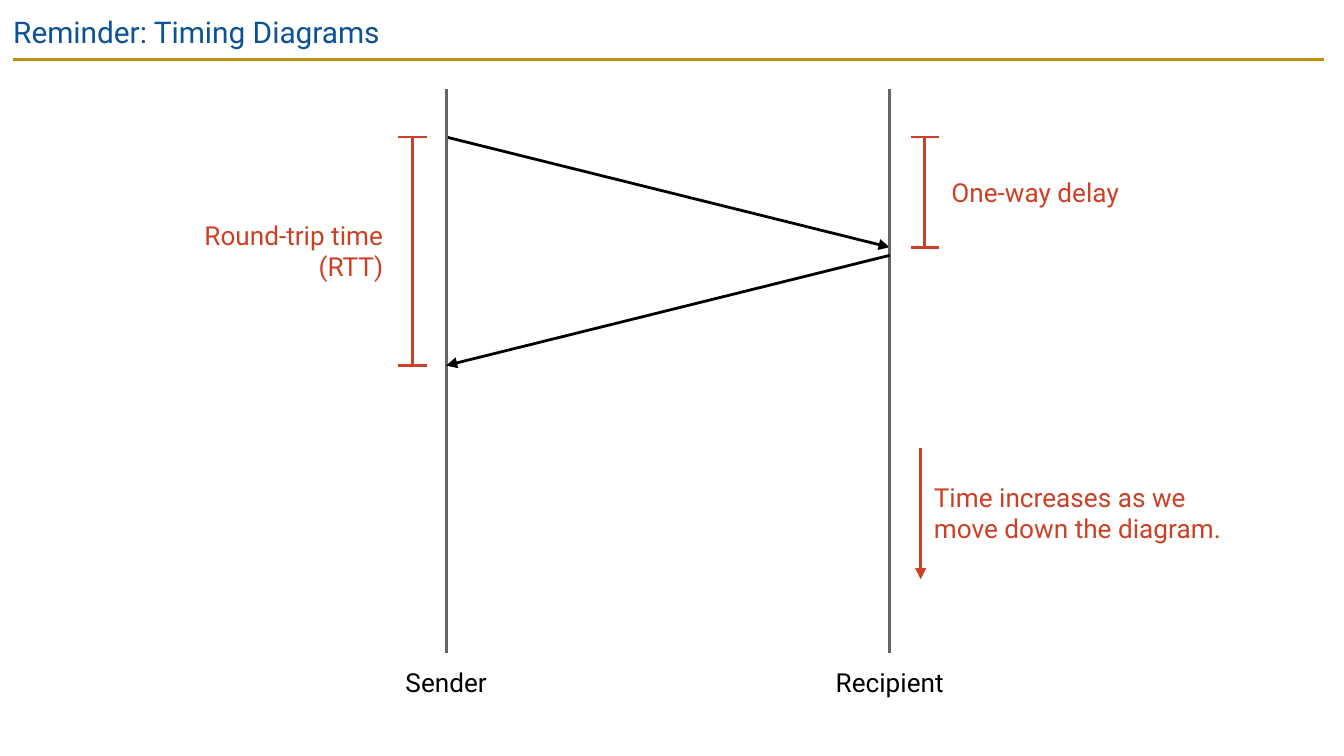
"""Build the timing diagram slide with sender and recipient timelines."""
from dataclasses import dataclass

from lxml.etree import SubElement
from pptx import Presentation
from pptx.dml.color import RGBColor
from pptx.enum.shapes import MSO_CONNECTOR
from pptx.enum.text import PP_ALIGN
from pptx.oxml.ns import qn
from pptx.slide import Slide
from pptx.util import Inches, Pt


@dataclass(frozen=True)
class Theme:
    font: str = "Roboto"
    title_size: int = 16
    label_size: int = 14
    line_width: float = 1.5
    heading: str = "0B5394"
    rule: str = "BF9000"
    timeline: str = "666666"
    message: str = "000000"
    note: str = "CC4125"


THEME = Theme()


@dataclass(frozen=True)
class Line:
    start: tuple[float, float]
    end: tuple[float, float]
    color: str
    arrow: bool = False


@dataclass(frozen=True)
class Label:
    text: str
    left: float
    top: float
    width: float
    height: float
    color: str
    align: PP_ALIGN = PP_ALIGN.LEFT
    size: int = THEME.label_size


@dataclass(frozen=True)
class Span:
    x: float
    top: float
    bottom: float


def draw_line(slide: Slide, line: Line) -> None:
    points = [Inches(value) for value in (*line.start, *line.end)]
    connector = slide.shapes.add_connector(MSO_CONNECTOR.STRAIGHT, *points)
    connector.line.color.rgb = RGBColor.from_string(line.color)
    connector.line.width = Pt(THEME.line_width)
    if line.arrow:
        SubElement(connector.line._get_or_add_ln(), qn("a:tailEnd"), type="triangle")
    SubElement(connector._element.spPr, qn("a:effectLst"))


def draw_label(slide: Slide, label: Label) -> None:
    bounds = [Inches(v) for v in (label.left, label.top, label.width, label.height)]
    frame = slide.shapes.add_textbox(*bounds).text_frame
    frame.word_wrap = True
    frame.margin_left = frame.margin_right = Inches(0.1)
    frame.margin_top = frame.margin_bottom = Inches(0.1)
    paragraph = frame.paragraphs[0]
    paragraph.text = label.text
    paragraph.alignment = label.align
    paragraph.font.name = THEME.font
    paragraph.font.size = Pt(label.size)
    paragraph.font.color.rgb = RGBColor.from_string(label.color)


def draw_span(slide: Slide, span: Span, cap: float = 0.21) -> None:
    draw_line(slide, Line((span.x, span.top), (span.x, span.bottom), THEME.note))
    for y in (span.top, span.bottom):
        draw_line(slide, Line((span.x - cap / 2, y), (span.x + cap / 2, y), THEME.note))


def main() -> None:
    sender, recipient = 3.32, 6.62
    sent, received, replied, returned = 1.02, 1.84, 1.90, 2.72
    timeline_top, timeline_bottom = 0.66, 4.86

    lines = [
        Line((0.1, 0.44), (9.85, 0.44), THEME.rule),
        Line((sender, sent), (recipient, received), THEME.message, arrow=True),
        *(
            Line((x, timeline_top), (x, timeline_bottom), THEME.timeline)
            for x in (sender, recipient)
        ),
        Line((6.85, 3.33), (6.85, 4.31), THEME.note, arrow=True),
        Line((recipient, replied), (sender, returned), THEME.message, arrow=True),
    ]
    spans = [Span(3.07, sent, returned), Span(6.88, sent, received)]
    labels = [
        Label("Reminder: Timing Diagrams", 0, 0, 9.32, 0.43, THEME.heading,
              size=THEME.title_size),
        *(
            Label(name, x - width / 2, timeline_bottom, width, 0.44, THEME.message,
                  PP_ALIGN.CENTER)
            for name, x, width in (
                ("Sender", sender, 1.21),
                ("Recipient", recipient, 1.31),
            )
        ),
        Label("Time increases as we move down the diagram.",
              6.85, 3.48, 2.49, 0.67, THEME.note),
        Label("One-way delay", 6.98, 1.21, 1.55, 0.44, THEME.note),
        Label("Round-trip time (RTT)", 1.4, 1.53, 1.55, 0.67, THEME.note,
              PP_ALIGN.RIGHT),
    ]

    presentation = Presentation()
    presentation.slide_width = Inches(10)
    presentation.slide_height = presentation.slide_width * 9 // 16
    slide = presentation.slides.add_slide(presentation.slide_layouts[6])
    for line in lines:
        draw_line(slide, line)
    for span in spans:
        draw_span(slide, span)
    for label in labels:
        draw_label(slide, label)
    presentation.save("out.pptx")


if __name__ == "__main__":
    main()
